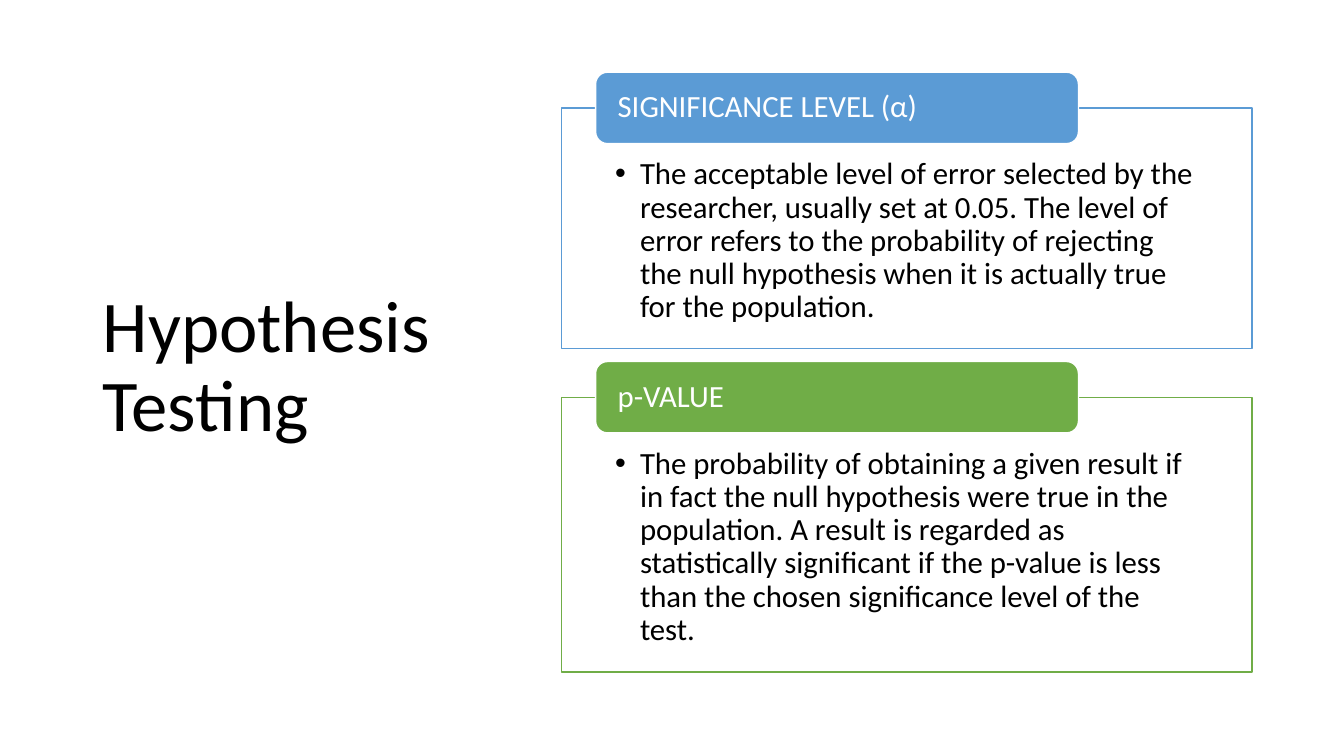
from pptx import Presentation
from pptx import util as u
from pptx.dml.color import RGBColor
from pptx.enum import shapes, text
from pptx.oxml.ns import qn
from lxml import etree

COLORS = {"blue": "5B9BD5", "green": "70AD47", "white": "FFFFFF", "black": "000000"}

FRAME_LEFT, FRAME_WIDTH = 14.15, 17.4
HEADER_LEFT, HEADER_WIDTH, HEADER_HEIGHT = 15.01, 12.17, 1.8
FIRST_TOP, GAP = 2.72, 1.22

SECTIONS = [
    ("SIGNIFICANCE LEVEL (α)", "blue", 6.07,
     "The acceptable level of error selected by the researcher, usually set at 0.05. "
     "The level of error refers to the probability of rejecting the null hypothesis "
     "when it is actually true for the population."),
    ("p-VALUE", "green", 6.93,
     "The probability of obtaining a given result if in fact the null hypothesis were "
     "true in the population. A result is regarded as statistically significant if the "
     "p-value is less than the chosen significance level of the test."),
]


def rgb(name):
    return RGBColor.from_string(COLORS[name])


def add_bullet(p):
    pPr = p._p.get_or_add_pPr()
    pPr.set("marL", str(u.Cm(0.63)))
    pPr.set("indent", str(-u.Cm(0.63)))
    etree.SubElement(pPr, qn("a:buFont")).set("typeface", "Arial")
    etree.SubElement(pPr, qn("a:buChar")).set("char", "•")


def write(sp, content, size=22, color="black", anchor=text.MSO_ANCHOR.MIDDLE,
          insets=(0.25, 0.13, 0.25, 0.13), bullet=False):
    tf = sp.text_frame
    tf.word_wrap = True
    tf.auto_size = text.MSO_AUTO_SIZE.NONE
    tf.vertical_anchor = anchor
    tf.margin_left, tf.margin_top, tf.margin_right, tf.margin_bottom = map(u.Cm, insets)
    p = tf.paragraphs[0]
    p.alignment = text.PP_ALIGN.LEFT
    p.line_spacing = 0.9
    if bullet:
        p.level = 1
        add_bullet(p)
    r = p.add_run()
    r.text = content
    r.font.name = "Calibri"
    r.font.size = u.Pt(size)
    r.font.color.rgb = rgb(color)


def add_box(s, kind, left, top, width, height, fill, line):
    sp = s.shapes.add_shape(kind, u.Cm(left), u.Cm(top), u.Cm(width), u.Cm(height))
    sp.shadow.inherit = False
    sp.fill.solid()
    sp.fill.fore_color.rgb = rgb(fill)
    sp.line.color.rgb = rgb(line)
    sp.line.width = u.Pt(1)
    return sp


def add_section(s, top, heading, color, height, body):
    frame = add_box(s, shapes.MSO_SHAPE.RECTANGLE, FRAME_LEFT, top,
                    FRAME_WIDTH, height, "white", color)
    write(frame, body, anchor=text.MSO_ANCHOR.TOP,
          insets=(1.35, 1.27, 1.35, 0.43), bullet=True)
    header = add_box(s, shapes.MSO_SHAPE.ROUNDED_RECTANGLE, HEADER_LEFT,
                     top - HEADER_HEIGHT / 2, HEADER_WIDTH, HEADER_HEIGHT, color, "white")
    write(header, heading, color="white", insets=(0.47, 0, 0.47, 0))


def add_title(s, content):
    title = s.shapes.title
    title.left, title.top, title.width, title.height = map(u.Cm, (2.34, 1.55, 9.37, 15.47))
    write(title, content, size=52)


def main():
    prs = Presentation()
    prs.slide_width, prs.slide_height = u.Cm(33.87), u.Cm(19.05)
    s = prs.slides.add_slide(prs.slide_layouts[5])
    add_title(s, "Hypothesis Testing")
    top = FIRST_TOP
    for heading, color, height, body in SECTIONS:
        add_section(s, top, heading, color, height, body)
        top += height + GAP
    prs.save("out.pptx")


if __name__ == "__main__":
    main()
